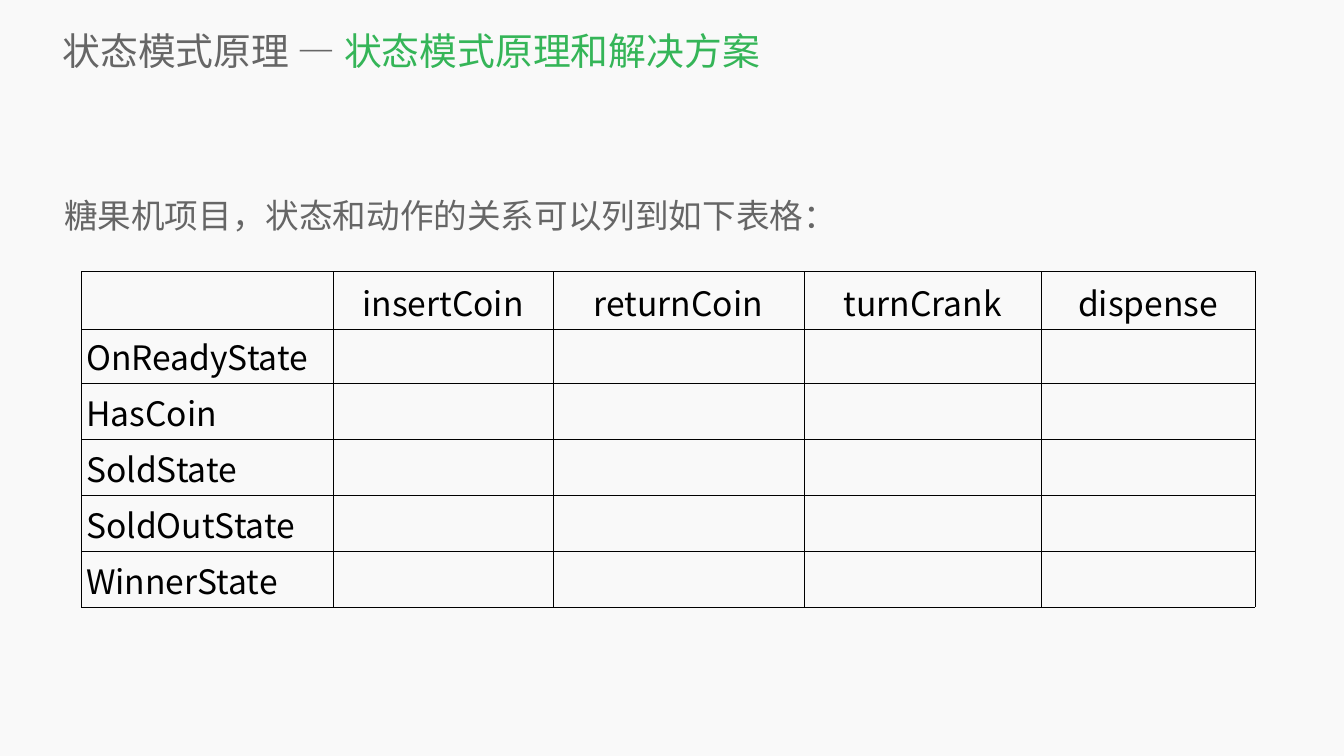
from lxml import etree
from pptx import Presentation
from pptx.dml.color import RGBColor
from pptx.enum import text as t
from pptx.oxml import ns
from pptx.util import Cm, Pt

FONT = "Noto Sans CJK SC"
INK = {"back": "F9F9F9", "gray": "666666", "green": "35B558", "black": "000000"}
TITLE = [("状态模式原理 — ", "gray"), ("状态模式原理和解决方案", "green")]
LEAD = [("糖果机项目，状态和动作的关系可以列到如下表格：", "gray")]
ACTS = ["insertCoin", "returnCoin", "turnCrank", "dispense"]
STATES = ["OnReadyState", "HasCoin", "SoldState", "SoldOutState", "WinnerState"]
WIDE = [12.7, 11.07, 12.65, 11.96, 10.77]
HIGH = [2.9, 2.72, 2.82, 2.82, 2.82, 2.82]


def color(name):
    return RGBColor.from_string(INK[name])


def write(frame, runs, size=48, align=t.PP_ALIGN.LEFT, space=None):
    para = frame.paragraphs[0]
    para.alignment = align
    if space:
        para.line_spacing = space
    for words, ink in runs:
        run = para.add_run()
        run.text = words
        run.font.size = Pt(size)
        run.font.name = FONT
        run.font.color.rgb = color(ink)
        east = etree.SubElement(run.font._element, ns.qn("a:ea"))
        east.set("typeface", FONT)


def inset(frame, gap):
    frame.margin_left = frame.margin_right = Cm(gap)
    frame.margin_top = frame.margin_bottom = Cm(gap)
    frame.word_wrap = True


def border(cell):
    props = cell._tc.get_or_add_tcPr()
    for spot, side in enumerate(["lnL", "lnR", "lnT", "lnB"]):
        line = etree.Element(ns.qn("a:" + side), w=str(Pt(0.23)))
        fill = etree.SubElement(line, ns.qn("a:solidFill"))
        etree.SubElement(fill, ns.qn("a:srgbClr"), val=INK["black"])
        props.insert(spot, line)


def main():
    deck = Presentation()
    deck.slide_width, deck.slide_height = Cm(67.72), Cm(38.1)
    slide = deck.slides.add_slide(deck.slide_layouts[5])
    slide.background.fill.solid()
    slide.background.fill.fore_color.rgb = color("back")

    title = slide.shapes.title
    title.left, title.top = Cm(3), Cm(1.27)
    title.width, title.height = Cm(63.9), Cm(2.57)
    frame = title.text_frame
    inset(frame, 0.15)
    frame.auto_size = t.MSO_AUTO_SIZE.NONE
    frame.vertical_anchor = t.MSO_ANCHOR.MIDDLE
    write(frame, TITLE, size=54)

    shape = slide.shapes.add_table(len(HIGH), len(WIDE), Cm(4.09), Cm(13.67),
                                   Cm(sum(WIDE)), Cm(sum(HIGH)))
    table = shape.table
    table.first_row = table.horz_banding = False
    for col, wide in zip(table.columns, WIDE):
        col.width = Cm(wide)
    for row, high in zip(table.rows, HIGH):
        row.height = Cm(high)
    grid = [["", *ACTS]] + [[state] + [""] * len(ACTS) for state in STATES]
    for r, line in enumerate(grid):
        for c, words in enumerate(line):
            cell = table.cell(r, c)
            cell.fill.background()
            cell.vertical_anchor = t.MSO_ANCHOR.BOTTOM
            border(cell)
            if words:
                align = t.PP_ALIGN.LEFT if r else t.PP_ALIGN.CENTER
                write(cell.text_frame, [(words, "black")], align=align)

    lead = slide.shapes.add_textbox(Cm(3.23), Cm(9.02), Cm(61.67), Cm(4.65))
    inset(lead.text_frame, 0)
    write(lead.text_frame, LEAD, space=1.4)
    deck.save("out.pptx")


if __name__ == "__main__":
    main()
